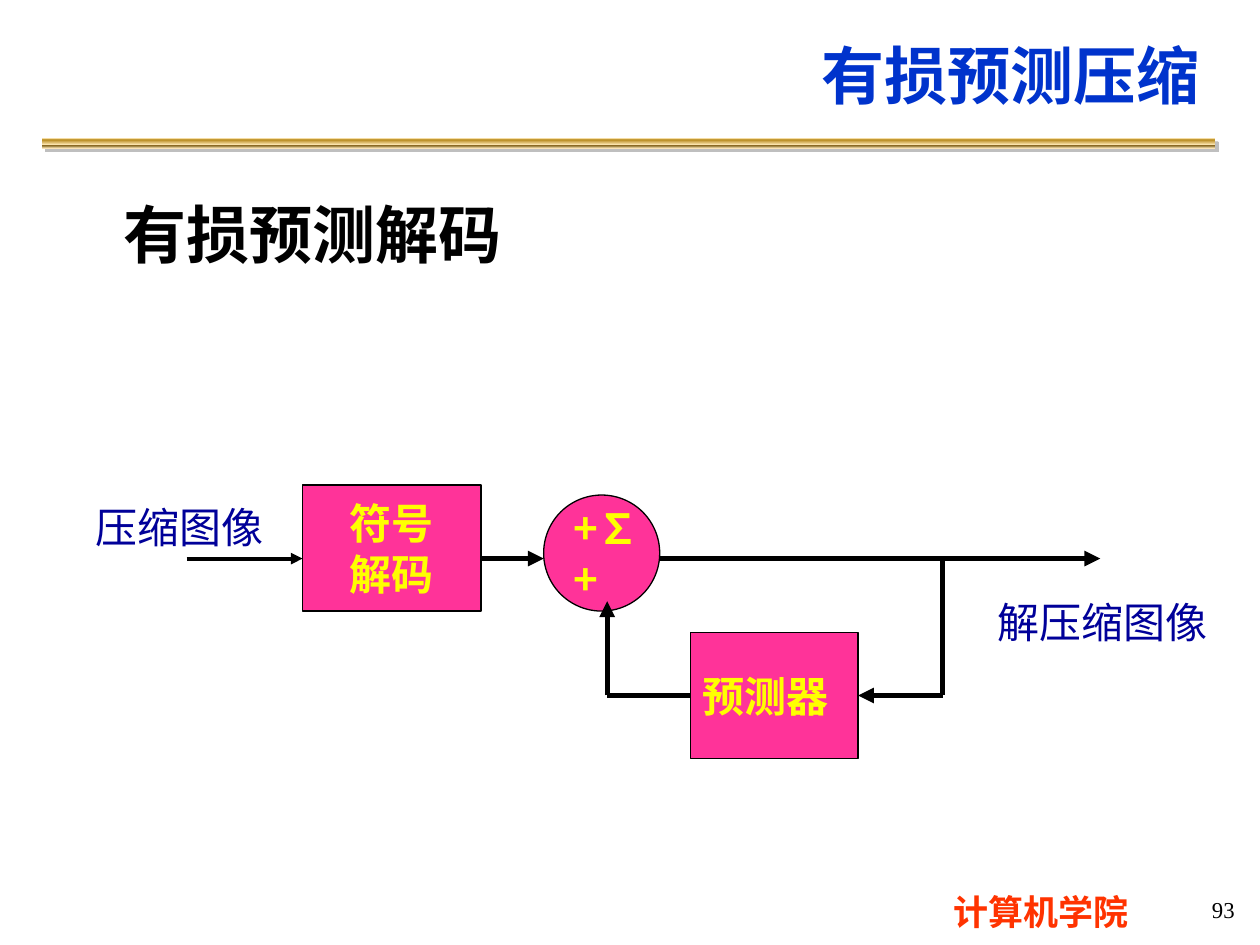
from lxml.etree import SubElement
from pptx import Presentation
from pptx.dml.color import RGBColor
from pptx.enum.shapes import MSO_CONNECTOR, MSO_SHAPE
from pptx.enum.text import MSO_ANCHOR as ANCHOR, PP_ALIGN as ALIGN
from pptx.oxml.ns import qn
from pptx.util import Cm, Pt

BLACK = RGBColor(0x00, 0x00, 0x00)
TITLE_BLUE = RGBColor(0x00, 0x33, 0xCC)
LABEL_BLUE = RGBColor(0x00, 0x00, 0x99)
PINK = RGBColor(0xFF, 0x33, 0x99)
YELLOW = RGBColor(0xFF, 0xFF, 0x00)
RED = RGBColor(0xFF, 0x33, 0x00)
BULLET_BLUE = RGBColor(0x00, 0x00, 0xFF)
SHADOW_GRAY = RGBColor(0x80, 0x80, 0x80)
GOLD_STOPS = [
    (0, RGBColor(0xFB, 0xE4, 0xAE)), (13, RGBColor(0xBD, 0x92, 0x2A)),
    (21, RGBColor(0xBD, 0x92, 0x2A)), (63, RGBColor(0xFB, 0xE4, 0xAE)),
    (67, RGBColor(0xBD, 0x92, 0x2A)), (69, RGBColor(0x83, 0x5E, 0x17)),
    (82, RGBColor(0xA2, 0x89, 0x49)), (100, RGBColor(0xFA, 0xE3, 0xB7)),
]
CJK_FONT = "Noto Sans CJK SC"


def write(shape, text, size, color, bold=True, align=ALIGN.LEFT,
          anchor=ANCHOR.MIDDLE, wrap=False, font_name=CJK_FONT):
    """Fill a shape with text, one paragraph per line."""
    frame = shape.text_frame
    frame.word_wrap = wrap
    frame.vertical_anchor = anchor
    frame.text = text
    for paragraph in frame.paragraphs:
        paragraph.alignment = align
        font = paragraph.font
        font.size = Pt(size)
        font.bold = bold
        font.color.rgb = color
        font.name = font_name
        defaults = paragraph._p.pPr.find(qn("a:defRPr"))
        SubElement(defaults, qn("a:ea"), typeface=font_name)


def add_line(start, end, arrow=True, width=3):
    x1, y1 = start
    x2, y2 = end
    line = slide.shapes.add_connector(
        MSO_CONNECTOR.STRAIGHT, Cm(x1), Cm(y1), Cm(x2), Cm(y2))
    line.line.color.rgb = BLACK
    line.line.width = Pt(width)
    properties = line._element.spPr
    if arrow:
        SubElement(properties.find(qn("a:ln")), qn("a:tailEnd"), type="triangle")
    SubElement(properties, qn("a:effectLst"))
    return line


presentation = Presentation()
presentation.slide_width = Cm(25.4)
presentation.slide_height = Cm(19.05)
slide = presentation.slides.add_slide(presentation.slide_layouts[6])

# Gold rule under the title
rule = slide.shapes.add_shape(
    MSO_SHAPE.RECTANGLE, Cm(0.84), Cm(2.79), Cm(23.65), Cm(0.2))
rule.line.fill.background()
rule.fill.gradient()
rule.fill.gradient_angle = 270
stops = rule._element.spPr.find(qn("a:gradFill")).find(qn("a:gsLst"))
for old_stop in list(stops):
    stops.remove(old_stop)
for percent, color in GOLD_STOPS:
    stop = SubElement(stops, qn("a:gs"), pos=str(percent * 1000))
    SubElement(stop, qn("a:srgbClr"), val=str(color))
effects = SubElement(rule._element.spPr, qn("a:effectLst"))
shadow = SubElement(effects, qn("a:outerShdw"), dist=str(Pt(2.8)), dir="2700000",
                    algn="ctr", rotWithShape="0")
shadow_color = SubElement(shadow, qn("a:srgbClr"), val=str(SHADOW_GRAY))
SubElement(shadow_color, qn("a:alpha"), val="50000")

# Title, footer and diagram labels
texts = [
    ((2.69, 0.3, 21.74, 2.41), "有损预测压缩", 36, TITLE_BLUE,
     dict(align=ALIGN.RIGHT, wrap=True)),
    ((17.5, 17.83, 6.99, 1.09), "计算机学院", 20, RED,
     dict(align=ALIGN.CENTER, anchor=ANCHOR.TOP, wrap=True)),
    ((20.29, 17.86, 4.85, 0.94), "93", 13, BLACK,
     dict(bold=False, align=ALIGN.RIGHT, font_name="Times New Roman")),
    ((1.68, 9.98, 3.89, 1.27), "压缩图像", 24, LABEL_BLUE, dict(bold=False)),
    ((19.86, 11.89, 4.75, 1.27), "解压缩图像", 24, LABEL_BLUE, dict(bold=False)),
]
for bounds, text, size, color, options in texts:
    box = slide.shapes.add_textbox(*map(Cm, bounds))
    write(box, text, size, color, **options)

# Bulleted heading
heading = slide.shapes.add_textbox(Cm(2.24), Cm(3.81), Cm(18.62), Cm(3.18))
paragraph = heading.text_frame.paragraphs[0]
paragraph.line_spacing = 1.5
paragraph_properties = paragraph._p.get_or_add_pPr()
paragraph_properties.set("marL", str(Cm(0.86)))
paragraph_properties.set("indent", str(-Cm(0.86)))
bullet_color = SubElement(paragraph_properties, qn("a:buClr"))
SubElement(bullet_color, qn("a:srgbClr"), val=str(BULLET_BLUE))
SubElement(paragraph_properties, qn("a:buChar"), char="•")
write(heading, "有损预测解码", 36, BLACK, anchor=ANCHOR.TOP, wrap=True)

# Decoder blocks
blocks = {}
for name, kind, bounds, text, align in [
    ("adder", MSO_SHAPE.OVAL, (10.96, 9.98, 2.34, 2.34), "+∑\n+", ALIGN.LEFT),
    ("decoder", MSO_SHAPE.RECTANGLE, (6.1, 9.78, 3.6, 2.54), "符号\n解码", ALIGN.CENTER),
    ("predictor", MSO_SHAPE.RECTANGLE, (13.92, 12.75, 3.38, 2.54), "预测器", ALIGN.LEFT),
]:
    block = slide.shapes.add_shape(kind, *map(Cm, bounds))
    block.shadow.inherit = False
    block.fill.solid()
    block.fill.fore_color.rgb = PINK
    block.line.color.rgb = BLACK
    block.line.width = Pt(0.75)
    write(block, text, 24, YELLOW, align=align)
    blocks[name] = block

# Signal path, then the feedback loop through the predictor
signal_y, feedback_y = 11.26, 14.02
adder_x, tap_x = 12.24, 19
add_line((3.76, signal_y), (6.1, signal_y), width=2.25)
add_line((9.7, signal_y), (10.96, signal_y))
add_line((13.3, signal_y), (22.18, signal_y))
add_line((tap_x, signal_y), (tap_x, feedback_y), arrow=False)
predictor_input = add_line((tap_x, feedback_y), (17.3, feedback_y))
predictor_input.end_connect(blocks["predictor"], 3)
predictor_output = add_line((13.92, feedback_y), (adder_x, feedback_y), arrow=False)
predictor_output.begin_connect(blocks["predictor"], 1)
add_line((adder_x, feedback_y), (adder_x, 12.12))

presentation.save("out.pptx")
